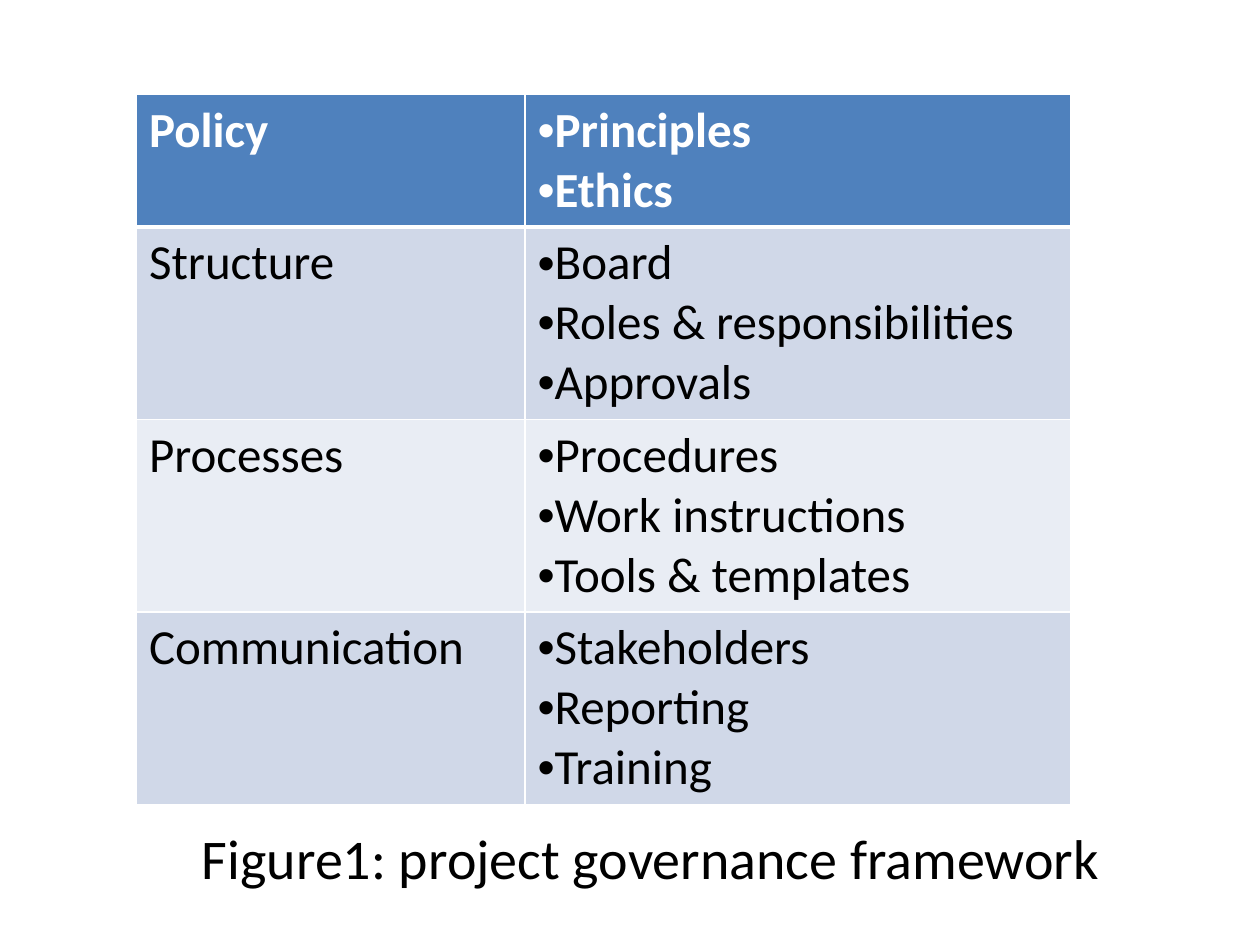
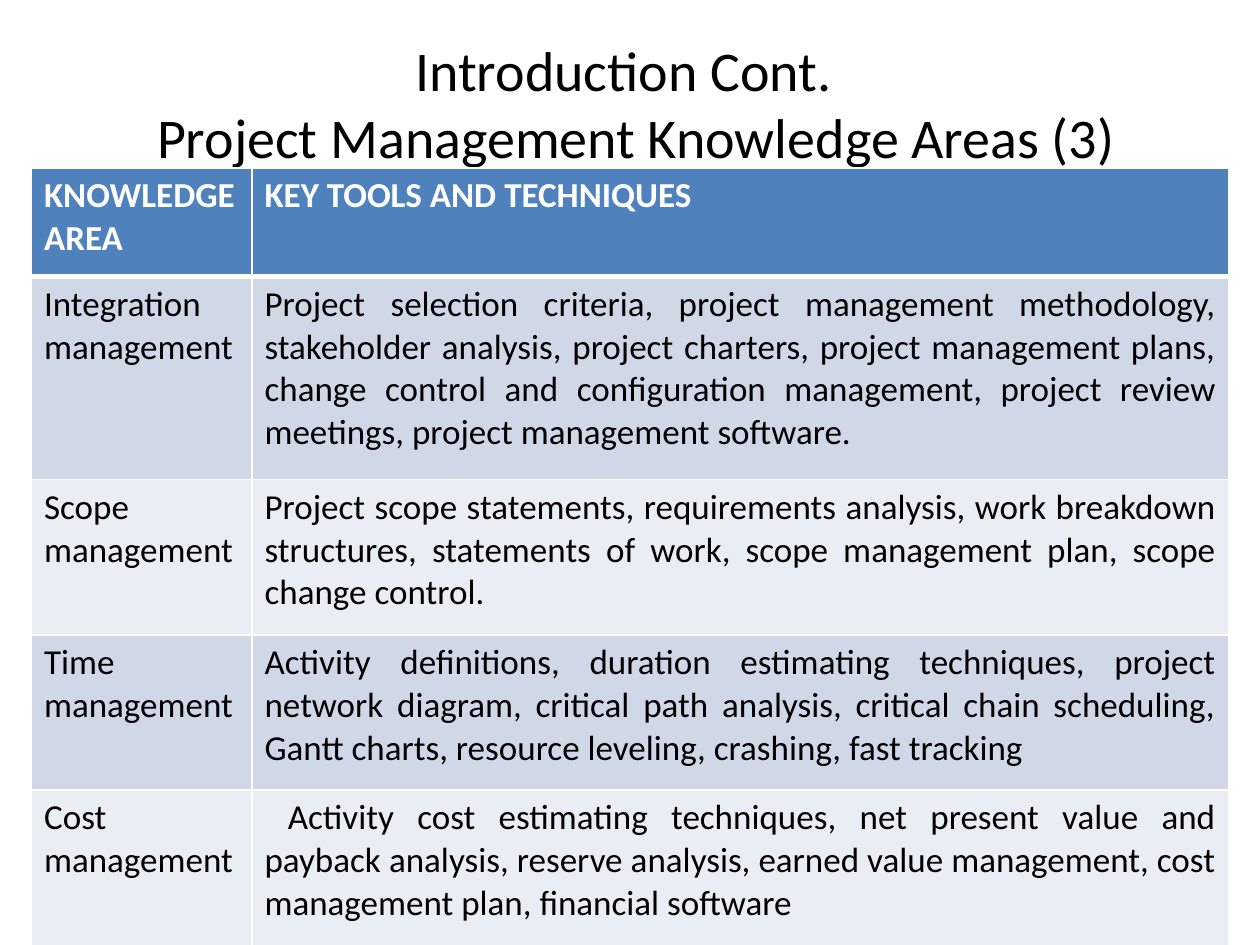
from dataclasses import dataclass

from lxml.etree import SubElement
from pptx import Presentation
from pptx.dml.color import RGBColor
from pptx.enum.text import MSO_ANCHOR, MSO_AUTO_SIZE, PP_ALIGN
from pptx.oxml.ns import qn
from pptx.slide import Slide
from pptx.table import _Cell
from pptx.text.text import _Paragraph
from pptx.util import Pt


@dataclass(frozen=True)
class Theme:
    font: str = "Calibri"
    title_size: int = 32
    framework_size: int = 28
    knowledge_size: int = 20
    text: RGBColor = RGBColor(0x00, 0x00, 0x00)
    header_text: RGBColor = RGBColor(0xFF, 0xFF, 0xFF)
    header_fill: RGBColor = RGBColor(0x4F, 0x81, 0xBD)
    bands: tuple[RGBColor, ...] = (
        RGBColor(0xD0, 0xD8, 0xE8),
        RGBColor(0xE9, 0xED, 0xF4),
    )
    border: str = "FFFFFF"
    border_width: int = 1
    header_rule_width: int = 3


@dataclass(frozen=True)
class Box:
    left: float
    top: float
    width: float
    height: float

    def lengths(self) -> tuple[Pt, Pt, Pt, Pt]:
        """Return the box as four lengths."""
        return Pt(self.left), Pt(self.top), Pt(self.width), Pt(self.height)


@dataclass(frozen=True)
class Entry:
    label: str
    details: tuple[str, ...]


@dataclass(frozen=True)
class TableContent:
    left: float
    top: float
    columns: tuple[float, ...]
    rows: tuple[float, ...]
    size: int
    alignment: PP_ALIGN
    bulleted: bool
    entries: tuple[Entry, ...]


@dataclass(frozen=True)
class Page:
    title_lines: tuple[str, ...]
    title_box: Box
    table: TableContent


THEME = Theme()

FRAMEWORK = TableContent(
    left=78,
    top=54,
    columns=(222, 312),
    rows=(75, 110, 110, 110),
    size=THEME.framework_size,
    alignment=PP_ALIGN.LEFT,
    bulleted=True,
    entries=(
        Entry("Policy", ("Principles", "Ethics")),
        Entry("Structure", ("Board", "Roles & responsibilities", "Approvals")),
        Entry("Processes", ("Procedures", "Work instructions", "Tools & templates")),
        Entry("Communication", ("Stakeholders", "Reporting", "Training")),
    ),
)

KNOWLEDGE_AREAS = TableContent(
    left=18,
    top=96,
    columns=(126, 558),
    rows=(62, 116, 88.8, 88.8, 88.8),
    size=THEME.knowledge_size,
    alignment=PP_ALIGN.JUSTIFY,
    bulleted=False,
    entries=(
        Entry("KNOWLEDGE AREA", ("KEY TOOLS AND TECHNIQUES",)),
        Entry(
            "Integration management",
            (
                "Project selection criteria, project management methodology, "
                "stakeholder analysis, project charters, project management plans, "
                "change control and configuration management, project review "
                "meetings, project management software.",
            ),
        ),
        Entry(
            "Scope management",
            (
                "Project scope statements, requirements analysis, work breakdown "
                "structures, statements of work, scope management plan, scope "
                "change control.",
            ),
        ),
        Entry(
            "Time management",
            (
                "Activity definitions, duration estimating techniques, project "
                "network diagram, critical path analysis, critical chain scheduling, "
                "Gantt charts, resource leveling, crashing, fast tracking",
            ),
        ),
        Entry(
            "Cost management",
            (
                " Activity cost estimating techniques, net present value and "
                "payback analysis, reserve analysis, earned value management, cost "
                "management plan, financial software",
            ),
        ),
    ),
)

PAGES = (
    Page(
        ("Figure1: project governance framework",),
        Box(48, 462, 648, 56),
        FRAMEWORK,
    ),
    Page(
        ("Introduction Cont. ", " Project Management Knowledge Areas (3)"),
        Box(36, 21.6, 648, 74.4),
        KNOWLEDGE_AREAS,
    ),
)


def add_run(
    paragraph: _Paragraph, text: str, size: int, color: RGBColor, bold: bool = False
) -> None:
    """Append one formatted run to a paragraph."""
    run = paragraph.add_run()
    run.text = text
    run.font.name = THEME.font
    run.font.size = Pt(size)
    run.font.bold = bold
    run.font.color.rgb = color


def set_title(slide: Slide, lines: tuple[str, ...], box: Box) -> None:
    """Place and fill the title placeholder."""
    title = slide.shapes.title
    title.left, title.top, title.width, title.height = box.lengths()
    frame = title.text_frame
    frame.auto_size = MSO_AUTO_SIZE.NONE
    frame.vertical_anchor = MSO_ANCHOR.MIDDLE
    paragraph = frame.paragraphs[0]
    paragraph.alignment = PP_ALIGN.CENTER
    for index, line in enumerate(lines):
        if index:
            paragraph.add_line_break()
        add_run(paragraph, line, THEME.title_size, THEME.text)


def add_bullet(paragraph: _Paragraph) -> None:
    """Give a paragraph a round bullet."""
    properties = paragraph._p.get_or_add_pPr()
    SubElement(properties, qn("a:buFont"), typeface="Arial")
    SubElement(properties, qn("a:buChar"), char="•")


def set_borders(cell: _Cell, top_width: int, bottom_width: int) -> None:
    """Draw the four borders of a cell."""
    properties = cell._tc.get_or_add_tcPr()
    widths = {
        "L": THEME.border_width,
        "R": THEME.border_width,
        "T": top_width,
        "B": bottom_width,
    }
    for side, width in widths.items():
        line = SubElement(properties, qn(f"a:ln{side}"), w=str(Pt(width)))
        fill = SubElement(line, qn("a:solidFill"))
        SubElement(fill, qn("a:srgbClr"), val=THEME.border)


def fill_cell(
    cell: _Cell, lines: tuple[str, ...], row: int, content: TableContent, bulleted: bool
) -> None:
    """Write and colour one table cell."""
    header = row == 0
    rule, thin = THEME.header_rule_width, THEME.border_width
    set_borders(cell, rule if row == 1 else thin, rule if header else thin)
    cell.fill.solid()
    band = THEME.bands[(row - 1) % len(THEME.bands)]
    cell.fill.fore_color.rgb = THEME.header_fill if header else band
    color = THEME.header_text if header else THEME.text
    frame = cell.text_frame
    for index, line in enumerate(lines):
        paragraph = frame.add_paragraph() if index else frame.paragraphs[0]
        paragraph.alignment = content.alignment
        if bulleted:
            add_bullet(paragraph)
        add_run(paragraph, line, content.size, color, header)


def add_banded_table(slide: Slide, content: TableContent) -> None:
    """Add a two-column table with a header and banded rows."""
    box = Box(content.left, content.top, sum(content.columns), sum(content.rows))
    table = slide.shapes.add_table(
        len(content.rows), len(content.columns), *box.lengths()
    ).table
    for column, width in zip(table.columns, content.columns):
        column.width = Pt(width)
    for index, (height, entry) in enumerate(zip(content.rows, content.entries)):
        table.rows[index].height = Pt(height)
        fill_cell(table.cell(index, 0), (entry.label,), index, content, False)
        fill_cell(
            table.cell(index, 1), entry.details, index, content, content.bulleted
        )


def build() -> None:
    """Build and save the presentation."""
    presentation = Presentation()
    presentation.slide_width = Pt(720)
    presentation.slide_height = Pt(540)
    title_only = presentation.slide_layouts.get_by_name("Title Only")
    for page in PAGES:
        slide = presentation.slides.add_slide(title_only)
        set_title(slide, page.title_lines, page.title_box)
        add_banded_table(slide, page.table)
    presentation.save("out.pptx")


build()
